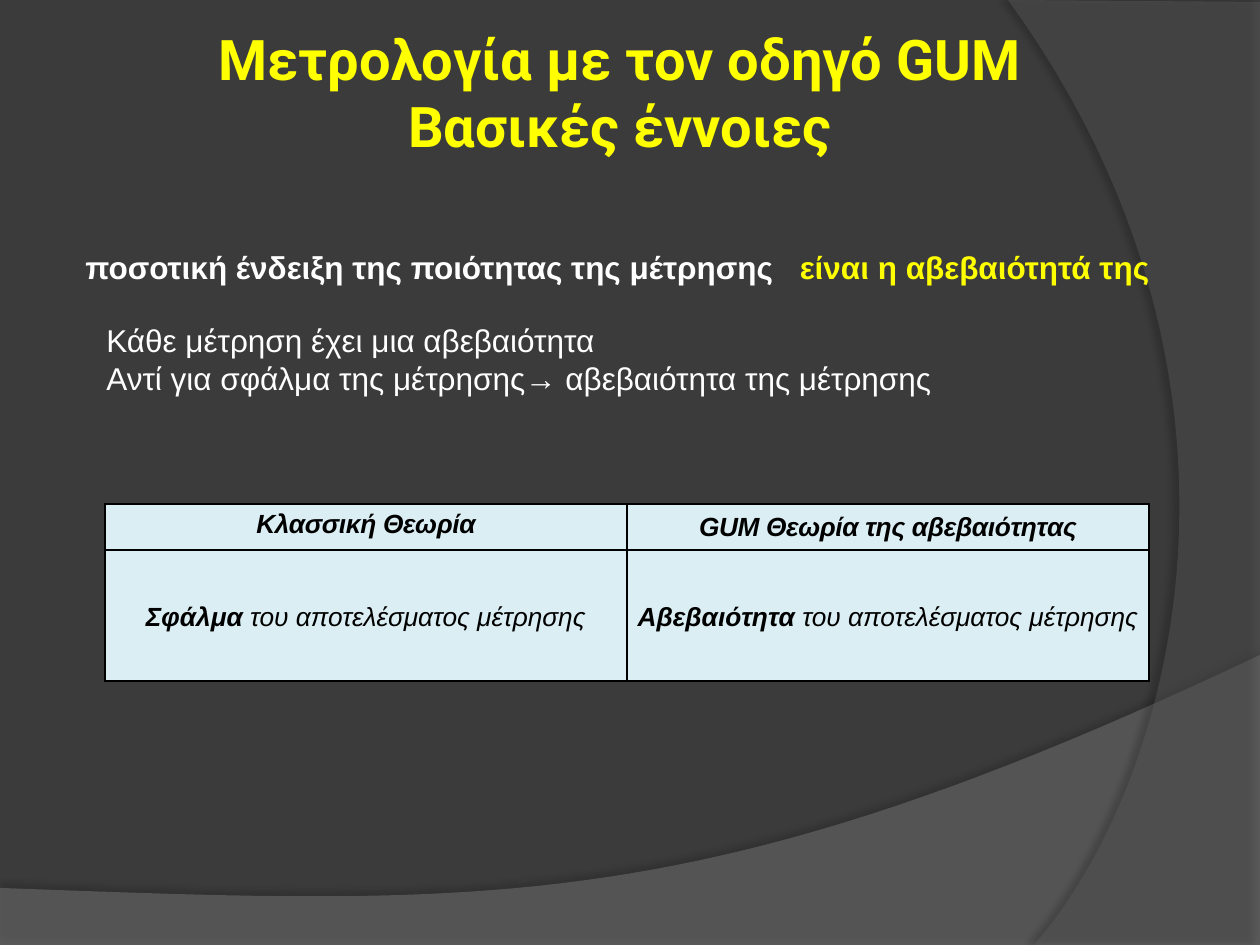
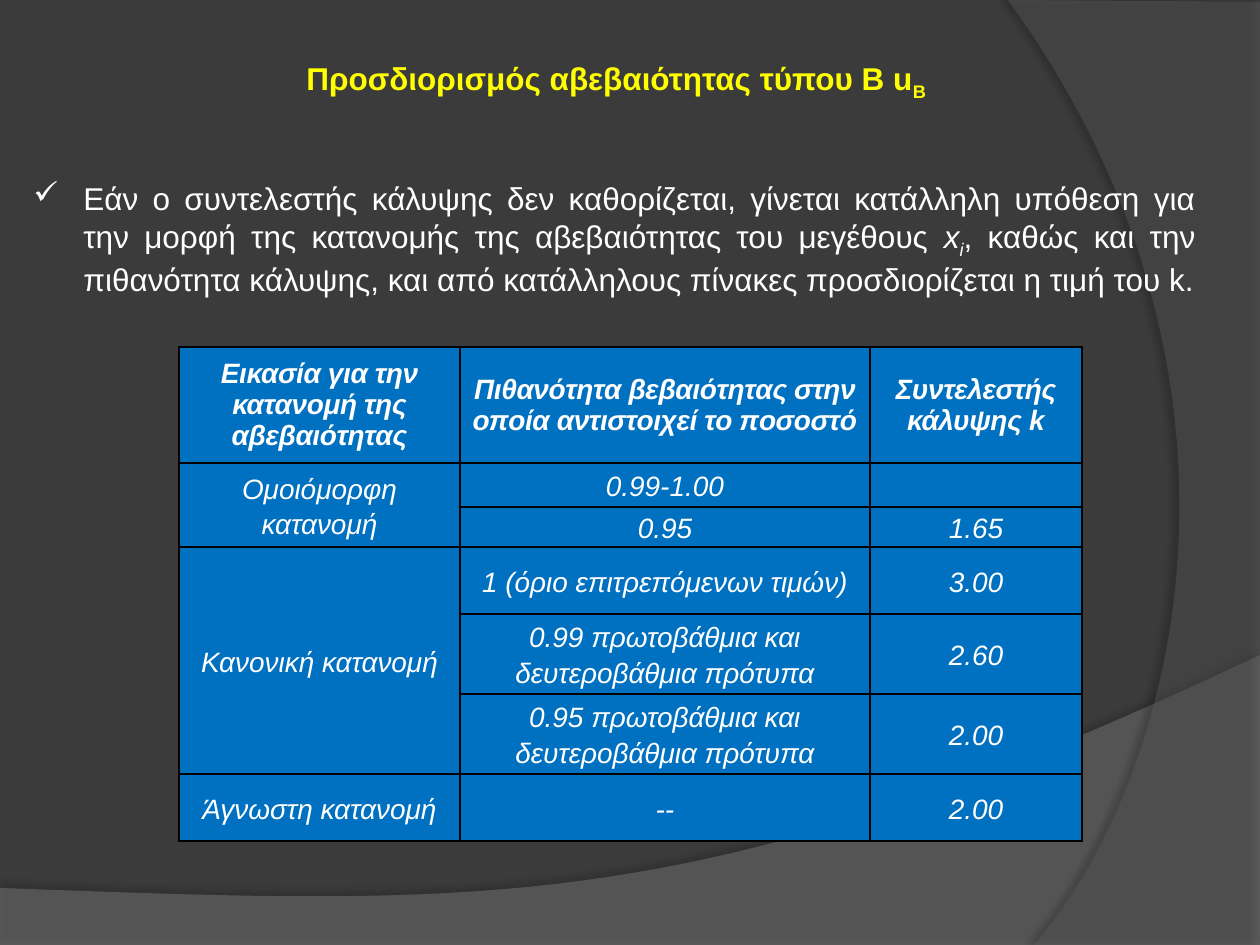
import pptx
import pptx.util
import pptx.dml.color
import pptx.enum.text
import pptx.oxml
import pptx.oxml.ns
import lxml.etree

PX = 914400 / 126
WIDTH, HEIGHT = 1260, 945
COLORS = {
    "background": "3B3B3B",
    "lower_band": "7F7F7F",
    "right_band": "5E5E5E",
    "title": "FFFF00",
    "light": "FFFFFF",
    "dark": "000000",
    "pale": "DAEEF3",
    "blue": "0070C0",
}
ALIGN = pptx.enum.text.PP_ALIGN
ANCHOR = pptx.enum.text.MSO_ANCHOR


def px(length):
    return pptx.util.Emu(round(length * PX))


def rgb(name):
    return pptx.dml.color.RGBColor.from_string(COLORS[name])


def sub(parent, tag, **attributes):
    child = lxml.etree.SubElement(parent, pptx.oxml.ns.qn(tag))
    for key, value in attributes.items():
        child.set(key, str(value))
    return child


def curve(start, first, second, end, steps=48):
    points = []
    for step in range(1, steps + 1):
        t = step / steps
        weights = ((1 - t) ** 3, 3 * t * (1 - t) ** 2, 3 * t * t * (1 - t), t ** 3)
        points.append(tuple(
            sum(w * p[axis] for w, p in zip(weights, (start, first, second, end)))
            for axis in (0, 1)))
    return points


def add_band(slide, outline, color, opacity, shadow):
    builder = slide.shapes.build_freeform(
        round(outline[0][0] * PX), round(outline[0][1] * PX))
    builder.add_line_segments(
        [(round(x * PX), round(y * PX)) for x, y in outline[1:]], close=True)
    band = builder.convert_to_shape()
    band.shadow.inherit = False
    band.line.fill.background()
    band.fill.solid()
    band.fill.fore_color.rgb = rgb(color)
    properties = band.fill._xPr
    fill_color = properties.find(".//" + pptx.oxml.ns.qn("a:srgbClr"))
    sub(fill_color, "a:alpha", val=opacity * 1000)
    shade, blur, distance, angle = shadow
    effects = properties.find(pptx.oxml.ns.qn("a:effectLst"))
    outer = sub(effects, "a:outerShdw", blurRad=pptx.util.Pt(blur),
                dist=pptx.util.Pt(distance), dir=angle * 60000,
                algn="ctr", rotWithShape=0)
    sub(sub(outer, "a:srgbClr", val=COLORS["dark"]), "a:alpha", val=shade * 1000)


def add_base_slide(deck):
    slide = deck.slides.add_slide(deck.slide_layouts[6])
    slide.background.fill.solid()
    slide.background.fill.fore_color.rgb = rgb("background")
    lower = [(0, 888), (0, 946), (WIDTH, 946), (WIDTH, 655)]
    lower += curve(lower[-1], (704, 919), (493, 906), lower[0])[:-1]
    add_band(slide, lower, "lower_band", 45, (35, 4, 3.5, 270))
    right = [(WIDTH, 2), (WIDTH, HEIGHT), (1034, HEIGHT)]
    right += curve(right[-1], (1178, 780), (1283, 378), (1008, 0))
    add_band(slide, right, "right_band", 40, (45, 4, 4, 180))
    return slide


def add_run(paragraph, text, size=18, color="light", font="Arial",
            bold=False, italic=False, baseline=0, spacing=0):
    run = paragraph.add_run()
    run.text = text
    run.font.size = pptx.util.Pt(size)
    run.font.name = font
    run.font.bold = bold
    run.font.italic = italic
    run.font.color.rgb = rgb(color)
    properties = run._r.get_or_add_rPr()
    if baseline:
        properties.set("baseline", str(baseline * 1000))
    if spacing:
        properties.set("spc", str(round(spacing * 100)))


def add_text(slide, box, paragraphs, wrap=True, align=ALIGN.LEFT, grow=True):
    frame = slide.shapes.add_textbox(*map(px, box)).text_frame
    frame.word_wrap = wrap
    if grow:
        frame.auto_size = pptx.enum.text.MSO_AUTO_SIZE.SHAPE_TO_FIT_TEXT
    for index, runs in enumerate(paragraphs):
        paragraph = frame.add_paragraph() if index else frame.paragraphs[0]
        paragraph.alignment = align
        for text, style in runs:
            add_run(paragraph, text, **style)
    return frame


def add_check_mark(paragraph, indent):
    properties = paragraph._p.get_or_add_pPr()
    properties.set("marL", str(px(indent)))
    properties.set("indent", str(-px(indent)))
    sub(properties, "a:buChar", char="✓")


def add_borders(cell):
    properties = cell._tc.get_or_add_tcPr()
    for place, side in enumerate(("a:lnL", "a:lnR", "a:lnT", "a:lnB")):
        line = pptx.oxml.parse_xml(
            f'<{side} {pptx.oxml.ns.nsdecls("a")} w="12700"><a:solidFill>'
            f'<a:srgbClr val="{COLORS["dark"]}"/></a:solidFill></{side}>')
        properties.insert(place, line)


def add_grid(slide, corner, widths, heights, rows, fill, margin, style, merges=()):
    table = slide.shapes.add_table(
        len(heights), len(widths), *map(px, corner),
        px(sum(widths)), px(sum(heights))).table
    table.first_row = False
    table.horz_banding = False
    for column, width in zip(table.columns, widths):
        column.width = px(width)
    for row, height in zip(table.rows, heights):
        row.height = px(height)
    for row_index, row in enumerate(rows):
        for column_index, runs in enumerate(row):
            cell = table.cell(row_index, column_index)
            cell.fill.solid()
            cell.fill.fore_color.rgb = rgb(fill)
            cell.margin_left = cell.margin_right = px(margin)
            cell.margin_top = cell.margin_bottom = 0
            cell.vertical_anchor = ANCHOR.MIDDLE
            add_borders(cell)
            if not runs:
                continue
            header = row_index == 0
            paragraph = cell.text_frame.paragraphs[0]
            paragraph.alignment = ALIGN.CENTER
            paragraph.space_after = pptx.util.Pt(2 if header else 3)
            if not header:
                paragraph.line_spacing = 1.15
            for text, bold in runs:
                add_run(paragraph, text, bold=bold, italic=True,
                        spacing=-0.2 if header else 0, **style)
    for first, last in merges:
        table.cell(*first).merge(table.cell(*last))
    return table


def add_concepts_slide(deck):
    slide = add_base_slide(deck)
    headers = ["Κλασσική Θεωρία", "GUM Θεωρία της αβεβαιότητας"]
    subjects = ["Σφάλμα ", "Αβεβαιότητα "]
    theories = add_grid(
        slide, (105, 504), [522, 522], [46, 131],
        [[[(header, True)] for header in headers],
         [[(subject, True), ("του αποτελέσματος μέτρησης", False)]
          for subject in subjects]],
        "pale", 9, {"size": 15, "color": "dark"})
    classical = theories.cell(0, 0).text_frame.paragraphs[0]
    classical.line_spacing = pptx.util.Pt(14)

    add_text(slide, (94, 315, 857, 89), [
        [("Κάθε μέτρηση έχει μια αβεβαιότητα", {})],
        [("Αντί για σφάλμα της μέτρησης→ αβεβαιότητα της μέτρησης", {})],
    ], wrap=False)

    heading = {"size": 32, "color": "title", "font": "Roboto", "bold": True}
    title = add_text(slide, (63, 73, 1114, 86), [
        [("Μετρολογία με τον οδηγό GUΜ", heading)],
        [("Βασικές έννοιες", heading)],
    ], align=ALIGN.CENTER, grow=False)
    title.vertical_anchor = ANCHOR.BOTTOM
    title.margin_left = title.margin_right = title.margin_bottom = 0

    add_text(slide, (73, 242, 1124, 50), [[
        ("ποσοτική ένδειξη της ποιότητας της μέτρησης", {"bold": True}),
        (" ", {"bold": True, "spacing": 10}),
        ("είναι η αβεβαιότητά της", {"bold": True, "color": "title"}),
    ]])


def add_type_b_slide(deck):
    slide = add_base_slide(deck)
    heading = {"color": "title", "bold": True}
    add_text(slide, (294, 53, 663, 50), [[
        ("Προσδιορισμός αβεβαιότητας τύπου Β u", heading),
        ("B", {**heading, "baseline": -25}),
    ]], wrap=False)

    coverage = add_text(slide, (21, 173, 1187, 167), [[
        ("Εάν ο συντελεστής κάλυψης δεν καθορίζεται, γίνεται κατάλληλη υπόθεση "
         "για την μορφή της κατανομής της αβεβαιότητας του μεγέθους ", {}),
        ("x", {"italic": True}),
        ("i", {"italic": True, "baseline": -25}),
        (", καθώς και την πιθανότητα κάλυψης, και από κατάλληλους πίνακες "
         "προσδιορίζεται η τιμή του k.", {}),
    ]], align=ALIGN.JUSTIFY)
    add_check_mark(coverage.paragraphs[0], 50)

    factors = [
        ["Εικασία για την κατανομή της αβεβαιότητας",
         "Πιθανότητα βεβαιότητας στην οποία αντιστοιχεί το ποσοστό",
         "Συντελεστής κάλυψης k"],
        ["Ομοιόμορφη κατανομή", "0.99-1.00", ""],
        ["", "0.95", "1.65"],
        ["Κανονική κατανομή", "1 (όριο επιτρεπόμενων τιμών)", "3.00"],
        ["", "0.99 πρωτοβάθμια και δευτεροβάθμια πρότυπα", "2.60"],
        ["", "0.95 πρωτοβάθμια και δευτεροβάθμια πρότυπα", "2.00"],
        ["Άγνωστη κατανομή", "--", "2.00"],
    ]
    rows = [[[(text, index == 0)] if text else [] for text in row]
            for index, row in enumerate(factors)]
    add_grid(slide, (179, 347), [281, 410, 212], [116, 44, 40, 67, 80, 80, 67],
             rows, "blue", 8, {"size": 16},
             merges=[((1, 0), (2, 0)), ((3, 0), (5, 0))])


def main():
    deck = pptx.Presentation()
    deck.slide_width = px(WIDTH)
    deck.slide_height = px(HEIGHT)
    add_concepts_slide(deck)
    add_type_b_slide(deck)
    deck.save("out.pptx")


if __name__ == "__main__":
    main()
